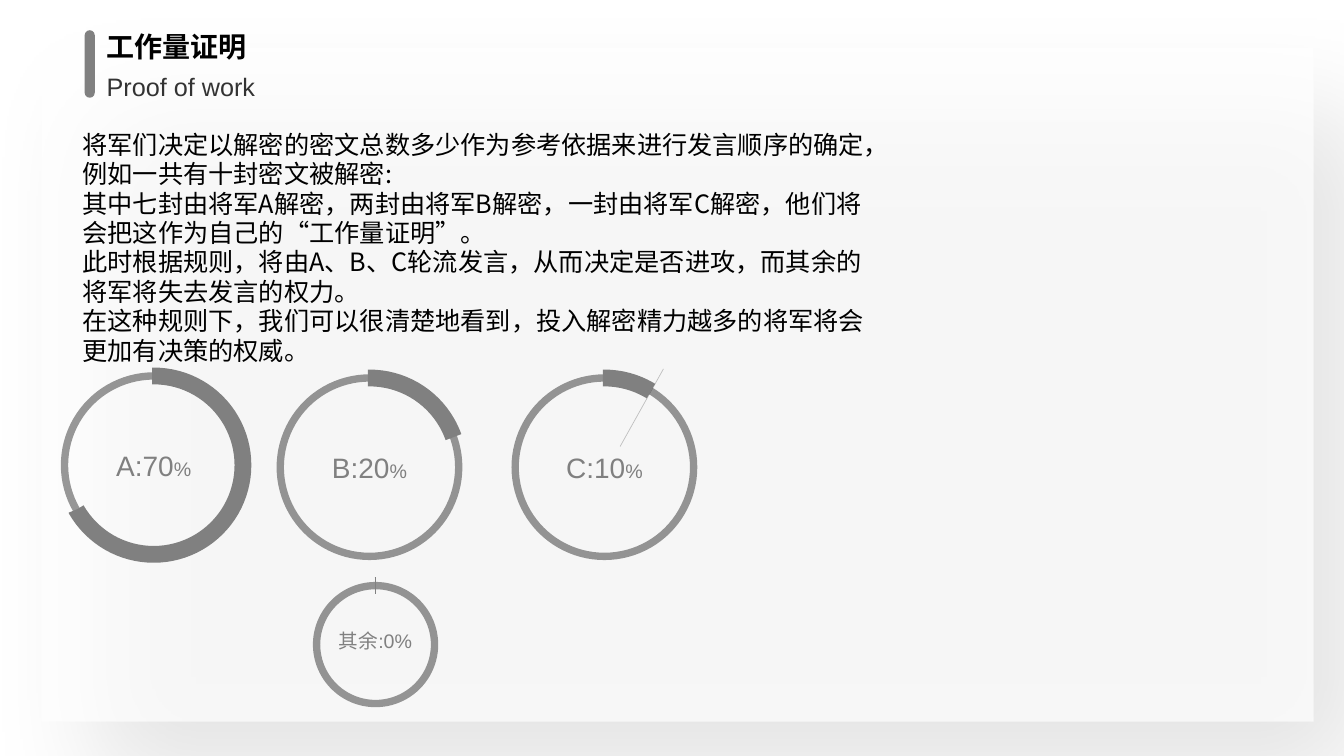
import pptx
import pptx.dml.color
import pptx.enum.shapes
import pptx.enum.text
import pptx.oxml
import pptx.oxml.ns
import pptx.util
from lxml import etree

Inches, Pt = pptx.util.Inches, pptx.util.Pt
RGBColor = pptx.dml.color.RGBColor
SHAPE = pptx.enum.shapes.MSO_SHAPE
ALIGN = pptx.enum.text.PP_ALIGN
qn = pptx.oxml.ns.qn

BLACK = RGBColor(0x00, 0x00, 0x00)
WHITE = RGBColor(0xFF, 0xFF, 0xFF)
DARK = RGBColor(0x33, 0x33, 0x33)
GRAY = RGBColor(0x80, 0x80, 0x80)
PALE = RGBColor(0xBF, 0xBF, 0xBF)

ARC_START = 161.43  # arc adjustments are angles in units of 5/3 degree
PANEL_SHADOW = (
    '<a:effectLst xmlns:a="http://schemas.openxmlformats.org/drawingml/2006/main">'
    '<a:outerShdw blurRad="1028700" dist="723900" dir="3000000" algn="tl" rotWithShape="0">'
    '<a:srgbClr val="000000"><a:alpha val="15000"/></a:srgbClr>'
    '</a:outerShdw></a:effectLst>')


class ProofSlide:
    """Holds the style and the current slide."""
    latin = "Arial"
    title_font = "Noto Sans CJK SC"
    body_font = "Noto Sans CJK JP"

    def __init__(self, deck):
        self.slide = deck.slides.add_slide(deck.slide_layouts[6])

    @staticmethod
    def set_alpha(color_parent, percent):
        color = next(color_parent.iter(qn("a:srgbClr")))
        etree.SubElement(color, qn("a:alpha")).set("val", str(percent * 1000))

    def shape(self, kind, left, top, width, height, fill=None, line=None, weight=0):
        item = self.slide.shapes.add_shape(
            kind, Inches(left), Inches(top), Inches(width), Inches(height))
        item.shadow.inherit = False
        if fill is None:
            item.fill.background()
        else:
            item.fill.solid()
            item.fill.fore_color.rgb = fill
        if line is None:
            item.line.fill.background()
        else:
            item.line.color.rgb = line
            item.line.width = Pt(weight)
        return item

    def panel(self, left, top, width, height):
        item = self.shape(SHAPE.RECTANGLE, left, top, width, height, fill=WHITE)
        properties = item._element.spPr
        self.set_alpha(properties.find(qn("a:solidFill")), 70)
        properties.replace(properties.find(qn("a:effectLst")),
                           pptx.oxml.parse_xml(PANEL_SHADOW))

    def line(self, start, end, color, weight):
        item = self.slide.shapes.add_connector(
            pptx.enum.shapes.MSO_CONNECTOR.STRAIGHT,
            *[Inches(value) for value in (*start, *end)])
        item.line.color.rgb = color
        item.line.width = Pt(weight)
        etree.SubElement(item._element.spPr, qn("a:effectLst"))

    def text(self, left, top, width, height, paragraphs, font, color,
             align=ALIGN.LEFT, spacing=None, bold=False):
        """Each paragraph is a list of (words, size) runs."""
        box = self.slide.shapes.add_textbox(
            Inches(left), Inches(top), Inches(width), Inches(height))
        frame = box.text_frame
        frame.word_wrap = True
        for index, runs in enumerate(paragraphs):
            paragraph = frame.add_paragraph() if index else frame.paragraphs[0]
            paragraph.alignment = align
            paragraph.line_spacing = spacing
            for words, size in runs:
                run = paragraph.add_run()
                run.text = words
                run.font.size = Pt(size)
                run.font.name = font
                run.font.bold = bold
                run.font.color.rgb = color
                east_asian = self.title_font if font == self.latin else font
                etree.SubElement(run._r.rPr, qn("a:ea")).set("typeface", east_asian)

    def gauge(self, left, top, size, arc_end, label, label_top, label_height):
        ring = self.shape(SHAPE.OVAL, left, top, size, size, line=BLACK, weight=5.25)
        self.set_alpha(ring._element.spPr.find(qn("a:ln")), 40)
        share = self.shape(SHAPE.ARC, left, top, size, size, line=GRAY, weight=12)
        share.adjustments[0] = ARC_START
        share.adjustments[1] = arc_end
        label_width = 1.04
        self.text(left + (size - label_width) / 2, top + label_top, label_width,
                  label_height, [label], self.latin, GRAY, ALIGN.CENTER)


def main():
    deck = pptx.Presentation()
    deck.slide_width, deck.slide_height = Inches(13.33), Inches(7.5)
    page = ProofSlide(deck)

    # Backdrop and pointer line
    page.panel(0.41, 0.47, 12.62, 6.69)
    page.line((6.15, 4.43), (6.58, 3.66), PALE, 0.5)

    # Heading
    page.text(0.96, 0.24, 3.6, 0.44, [[("工作量证明", 20)]], page.title_font, BLACK,
              spacing=Pt(24), bold=True)
    page.text(0.96, 0.51, 5.34, 0.51, [[("Proof of work", 18)]], page.latin, DARK,
              spacing=1.5)
    accent = page.shape(SHAPE.ROUNDED_RECTANGLE, 0.84, 0.3, 0.1, 0.67, fill=GRAY)
    accent.adjustments[0] = 0.5

    # Explanation, set tight enough to end above the rings
    explanation = [
        "将军们决定以解密的密文总数多少作为参考依据来进行发言顺序的确定，例如一共有十封密文被解密:",
        "其中七封由将军A解密，两封由将军B解密，一封由将军C解密，他们将会把这作为自己的“工作量证明”。",
        "此时根据规则，将由A、B、C轮流发言，从而决定是否进攻，而其余的将军将失去发言的权力。",
        "在这种规则下，我们可以很清楚地看到，投入解密精力越多的将军将会更加有决策的权威。",
    ]
    page.text(0.72, 1.24, 7.99, 2.43, [[(words, 18)] for words in explanation],
              page.body_font, BLACK, spacing=Pt(21))

    # Share of each general
    for left, top, arc_end, share in [(0.64, 3.73, 90.08, "A:70"),
                                      (2.78, 3.75, 204.19, "B:20"),
                                      (5.11, 3.75, 180.88, "C:10")]:
        page.gauge(left, top, 1.77, arc_end, [(share, 20), ("%", 14)], 0.67, 0.44)

    # Share of the rest
    page.gauge(3.14, 5.81, 1.17, 161.5, [("其余:0%", 14)], 0.38, 0.34)

    deck.save("out.pptx")


if __name__ == "__main__":
    main()
